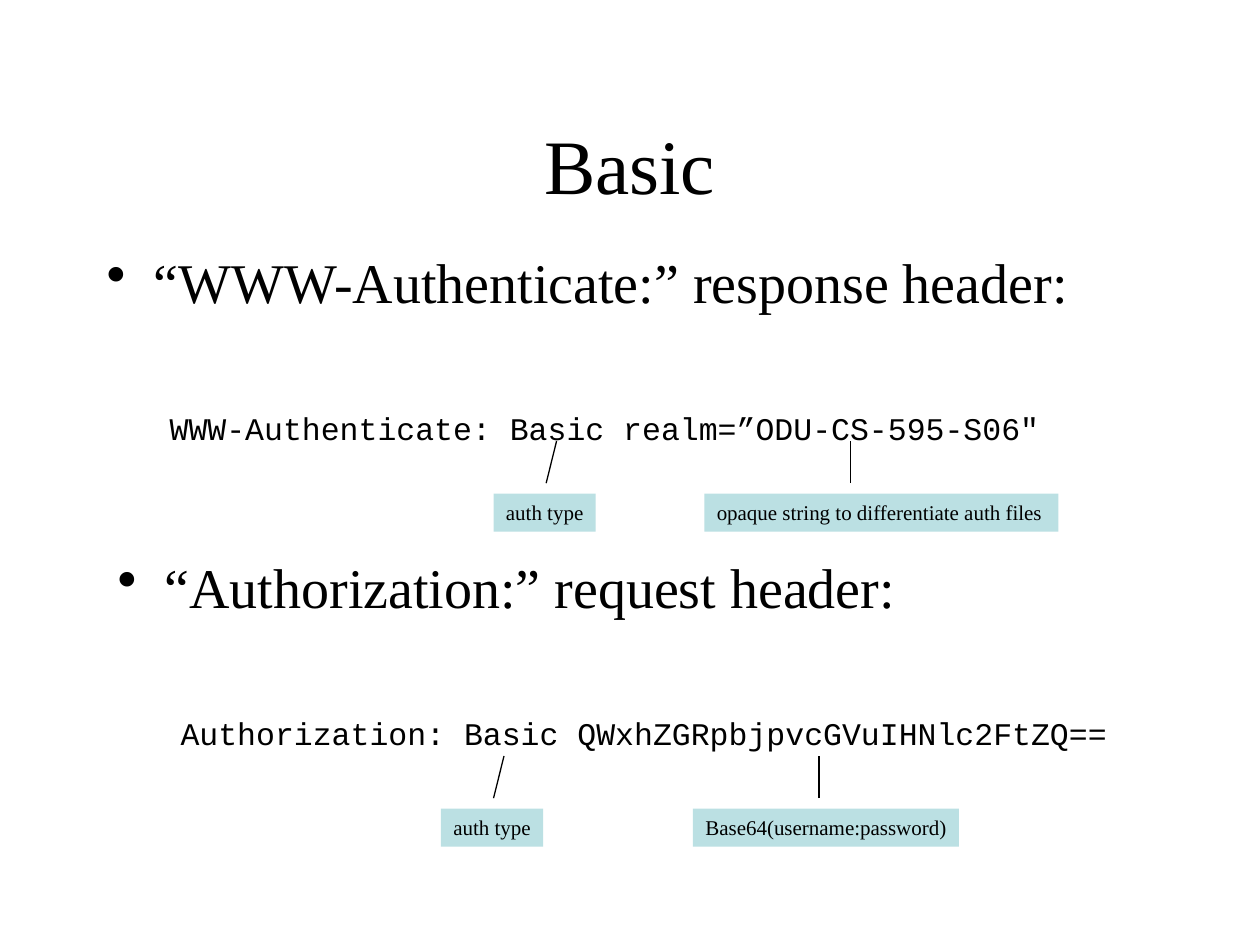
import dataclasses

import lxml.etree
import pptx
import pptx.dml.color
import pptx.enum.shapes
import pptx.enum.text
import pptx.oxml.ns
import pptx.util

Cm = pptx.util.Cm
Pt = pptx.util.Pt
qn = pptx.oxml.ns.qn


@dataclasses.dataclass(frozen=True)
class Theme:
    ink: pptx.dml.color.RGBColor = pptx.dml.color.RGBColor(0, 0, 0)
    label_fill: pptx.dml.color.RGBColor = pptx.dml.color.RGBColor(0xBB, 0xE0, 0xE3)
    serif: str = "Times New Roman"
    mono: str = "Courier New"
    title_size: int = 44
    heading_size: int = 32
    code_size: int = 18
    label_size: int = 12


THEME = Theme()


def apply_format(target, values):
    for name, value in values.items():
        setattr(target, name, value)


def write_text(para, text, size, font):
    span = para.add_run()
    span.text = text
    apply_format(span.font, {"size": Pt(size), "name": font})
    span.font.color.rgb = THEME.ink


def indent(para, left, first, bullet=None):
    properties = para._p.get_or_add_pPr()
    properties.set("marL", str(Cm(left)))
    properties.set("indent", str(Cm(first)))
    if bullet:
        mark = lxml.etree.SubElement(properties, qn("a:buChar"))
        mark.set("char", bullet)


def add_title(page, text):
    title = page.shapes.title
    apply_format(title, {"left": Cm(1.9), "top": Cm(1.7),
                         "width": Cm(21.59), "height": Cm(3.18)})
    title.text_frame.vertical_anchor = pptx.enum.text.MSO_ANCHOR.MIDDLE
    para = title.text_frame.paragraphs[0]
    para.alignment = pptx.enum.text.PP_ALIGN.CENTER
    write_text(para, text, THEME.title_size, THEME.serif)


def add_header_example(page, left, top, height, heading, code):
    box = page.shapes.add_textbox(Cm(left), Cm(top), Cm(21.59), Cm(height))
    box.text_frame.word_wrap = True
    para = box.text_frame.paragraphs[0]
    indent(para, 0.95, -0.95, "•")
    write_text(para, heading, THEME.heading_size, THEME.serif)
    para = box.text_frame.add_paragraph()
    apply_format(para, {"level": 1, "space_before": Pt(54)})
    indent(para, 2.06, -0.79)
    write_text(para, code, THEME.code_size, THEME.mono)


def add_callout(page, top, foot, tip, left, width, text):
    group = page.shapes.add_group_shape()
    pointer = group.shapes.add_connector(
        pptx.enum.shapes.MSO_CONNECTOR.STRAIGHT,
        Cm(foot), Cm(top + 0.85), Cm(tip), Cm(top))
    pointer.line.width = Pt(0.75)
    pointer.line.color.rgb = THEME.ink
    lxml.etree.SubElement(pointer._element.spPr, qn("a:effectLst"))

    label = group.shapes.add_shape(
        pptx.enum.shapes.MSO_SHAPE.RECTANGLE,
        Cm(left), Cm(top + 1.06), Cm(width), Cm(0.77))
    label.shadow.inherit = False
    label.fill.solid()
    label.fill.fore_color.rgb = THEME.label_fill
    label.line.fill.background()
    apply_format(label.text_frame, {
        "word_wrap": True, "margin_right": 0,
        "vertical_anchor": pptx.enum.text.MSO_ANCHOR.TOP})
    para = label.text_frame.paragraphs[0]
    para.alignment = pptx.enum.text.PP_ALIGN.LEFT
    write_text(para, text, THEME.label_size, THEME.serif)


def main():
    deck = pptx.Presentation()
    apply_format(deck, {"slide_width": Cm(25.4), "slide_height": Cm(19.05)})
    page = deck.slides.add_slide(deck.slide_layouts[5])

    add_title(page, "Basic")
    add_header_example(page, 2.12, 11.01, 4.45, "“Authorization:” request header:",
                       "Authorization: Basic QWxhZGRpbjpvcGVuIHNlc2FtZQ==")
    add_header_example(page, 1.9, 4.87, 4.23, "“WWW-Authenticate:” response header:",
                       "WWW-Authenticate: Basic realm=”ODU-CS-595-S06\"")

    response_top, request_top = 8.89, 15.24
    add_callout(page, response_top, 11.01, 11.22, 9.95, 2.06, "auth type")
    add_callout(page, response_top, 17.15, 17.15, 14.2, 7.14,
                "opaque string to differentiate auth files")
    add_callout(page, request_top, 9.95, 10.16, 8.89, 2.06, "auth type")
    add_callout(page, request_top, 16.51, 16.51, 13.97, 5.36,
                "Base64(username:password)")

    deck.save("out.pptx")


if __name__ == "__main__":
    main()
